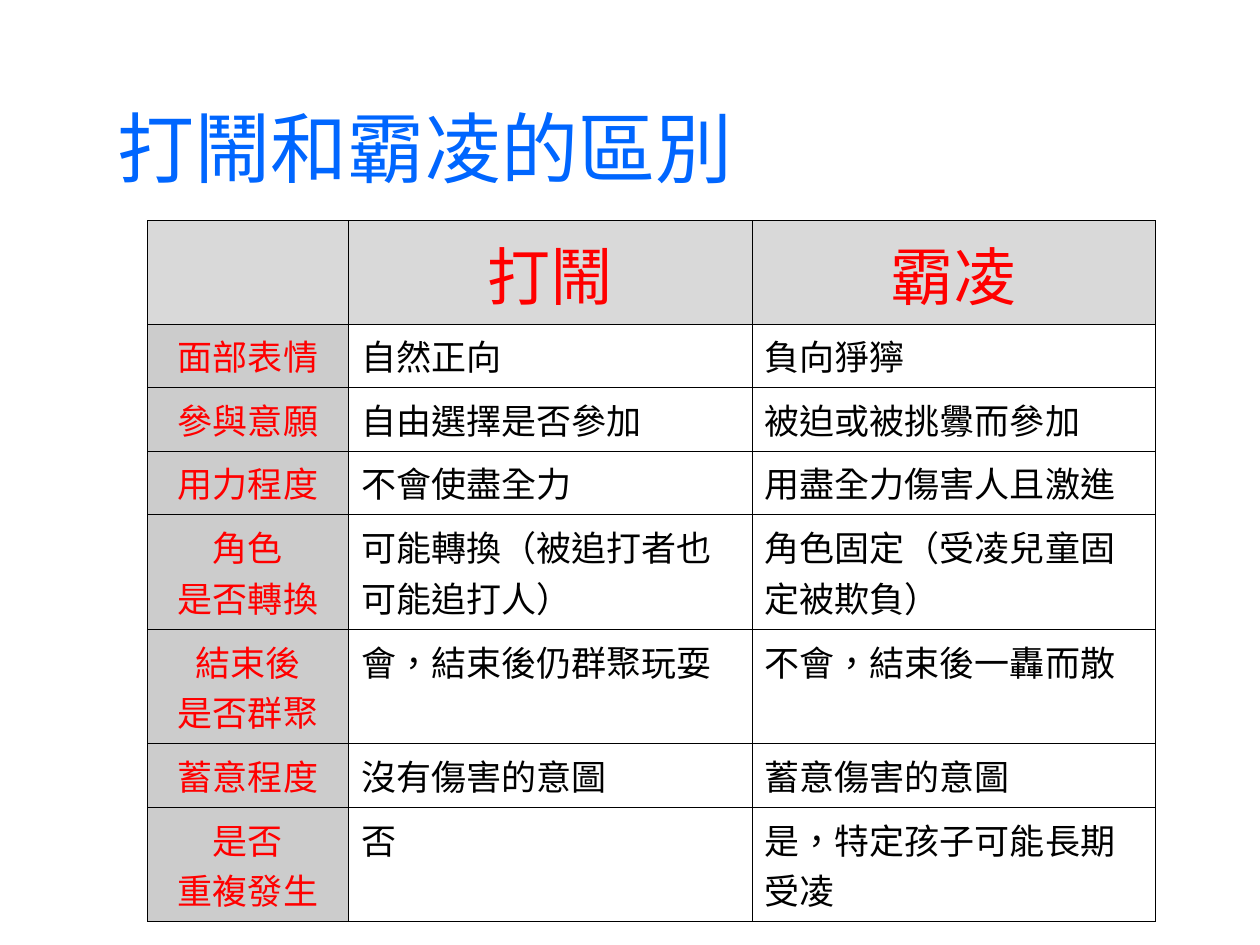
from lxml.etree import SubElement
from pptx import Presentation
from pptx.dml.color import RGBColor
from pptx.enum.lang import MSO_LANGUAGE_ID as Lang
from pptx.enum.text import MSO_ANCHOR as Anchor, PP_ALIGN as Align
from pptx.oxml.ns import qn
from pptx.util import Cm, Pt

COLORS = {
    "title": "0066FF",
    "label": "FF0000",
    "body": "000000",
    "border": "000000",
    "header_fill": "D9D9D9",
    "label_fill": "CCCCCC",
}
LABEL_FONT, BODY_FONT = "Noto Sans CJK JP", "Times New Roman"

COLUMN_WIDTHS = [4.06, 8.13, 8.13]
HEADER_HEIGHT, ONE_LINE, TWO_LINES = 2.08, 1.28, 2.31
ROWS = [
    ("", "打鬧", "霸凌"),
    ("面部表情", "自然正向", "負向猙獰"),
    ("參與意願", "自由選擇是否參加", "被迫或被挑釁而參加"),
    ("用力程度", "不會使盡全力", "用盡全力傷害人且激進"),
    ("角色\n是否轉換", "可能轉換（被追打者也\n可能追打人）", "角色固定（受凌兒童固\n定被欺負）"),
    ("結束後\n是否群聚", "會，結束後仍群聚玩耍", "不會，結束後一轟而散"),
    ("蓄意程度", "沒有傷害的意圖", "蓄意傷害的意圖"),
    ("是否\n重複發生", "否", "是，特定孩子可能長期\n受凌"),
]


class SlideBuilder:
    """Holds the style and the current slide."""

    def __init__(self, slide, colors):
        self.slide = slide
        self.colors = colors

    def rgb(self, name):
        return RGBColor.from_string(self.colors[name])

    def style(self, p, size, font, color, align=Align.LEFT):
        p.alignment = align
        p.font.size = Pt(size)
        p.font.name = font
        p.font.color.rgb = self.rgb(color)
        p.font.language_id = Lang.TRADITIONAL_CHINESE
        for r in p.runs:
            r.font.language_id = Lang.TRADITIONAL_CHINESE

    def title(self, text, left, top, width, height):
        sp = self.slide.shapes.add_textbox(Cm(left), Cm(top), Cm(width), Cm(height))
        tf = sp.text_frame
        tf.word_wrap = True
        tf.vertical_anchor = Anchor.BOTTOM
        tf.text = text
        p = tf.paragraphs[0]
        p.line_spacing = 0.8
        self.style(p, 44, BODY_FONT, "title")

    def borders(self, cell):
        tc_pr = cell._tc.get_or_add_tcPr()
        for i, side in enumerate(("a:lnL", "a:lnR", "a:lnT", "a:lnB")):
            ln = tc_pr.makeelement(qn(side), {"w": str(Pt(0.34))})
            fill = SubElement(ln, qn("a:solidFill"))
            SubElement(fill, qn("a:srgbClr"), val=self.colors["border"])
            tc_pr.insert(i, ln)

    def cell(self, cell, text, size, font, color, align, fill=None):
        if fill:
            cell.fill.solid()
            cell.fill.fore_color.rgb = self.rgb(fill)
        else:
            cell.fill.background()
        cell.text = text
        for p in cell.text_frame.paragraphs:
            self.style(p, size, font, color, align)
            # Hanging indent
            p_pr = p._p.get_or_add_pPr()
            p_pr.set("marL", str(Cm(0.95)))
            p_pr.set("indent", str(-Cm(0.95)))
        self.borders(cell)

    def table(self, rows, left, top, widths):
        # Row heights follow the number of text lines
        heights = [HEADER_HEIGHT] + [
            TWO_LINES if "\n" in "".join(row) else ONE_LINE for row in rows[1:]]
        frame = self.slide.shapes.add_table(
            len(rows), len(widths), Cm(left), Cm(top), Cm(sum(widths)), Cm(sum(heights)))
        table = frame.table
        table.horz_banding = False
        for column, width in zip(table.columns, widths):
            column.width = Cm(width)
        for i, (row, height) in enumerate(zip(rows, heights)):
            table.rows[i].height = Cm(height)
            for j, text in enumerate(row):
                if i == 0:
                    look = (36, LABEL_FONT, "label", Align.CENTER, "header_fill")
                elif j == 0:
                    look = (20, LABEL_FONT, "label", Align.CENTER, "label_fill")
                else:
                    look = (20, BODY_FONT, "body", Align.LEFT)
                self.cell(table.cell(i, j), text, *look)


def main():
    prs = Presentation()
    prs.slide_width, prs.slide_height = Cm(25.4), Cm(19.05)
    s = SlideBuilder(prs.slides.add_slide(prs.slide_layouts[6]), COLORS)

    # Heading
    s.title("打鬧和霸凌的區別", 2.11, 0.76, 22.66, 3.25)

    # Comparison table
    s.table(ROWS, 2.97, 4.45, COLUMN_WIDTHS)

    prs.save("out.pptx")


if __name__ == "__main__":
    main()
